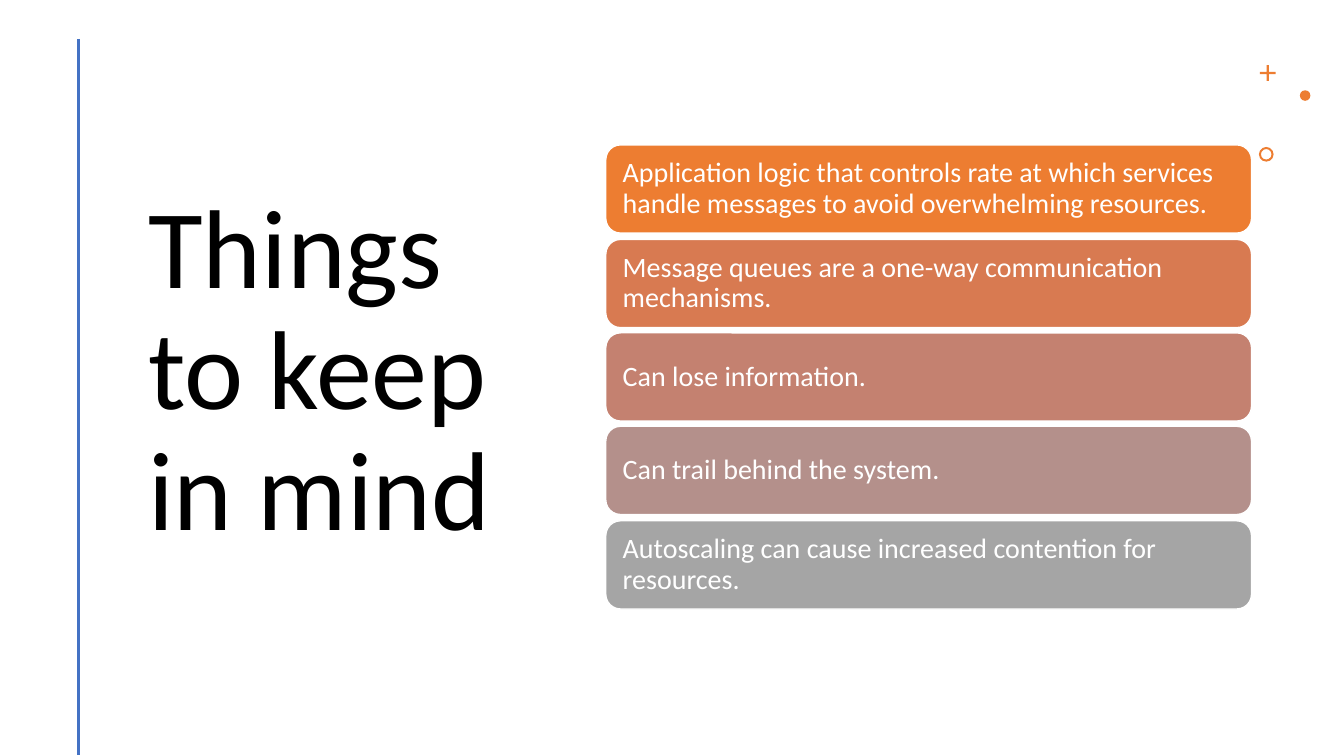
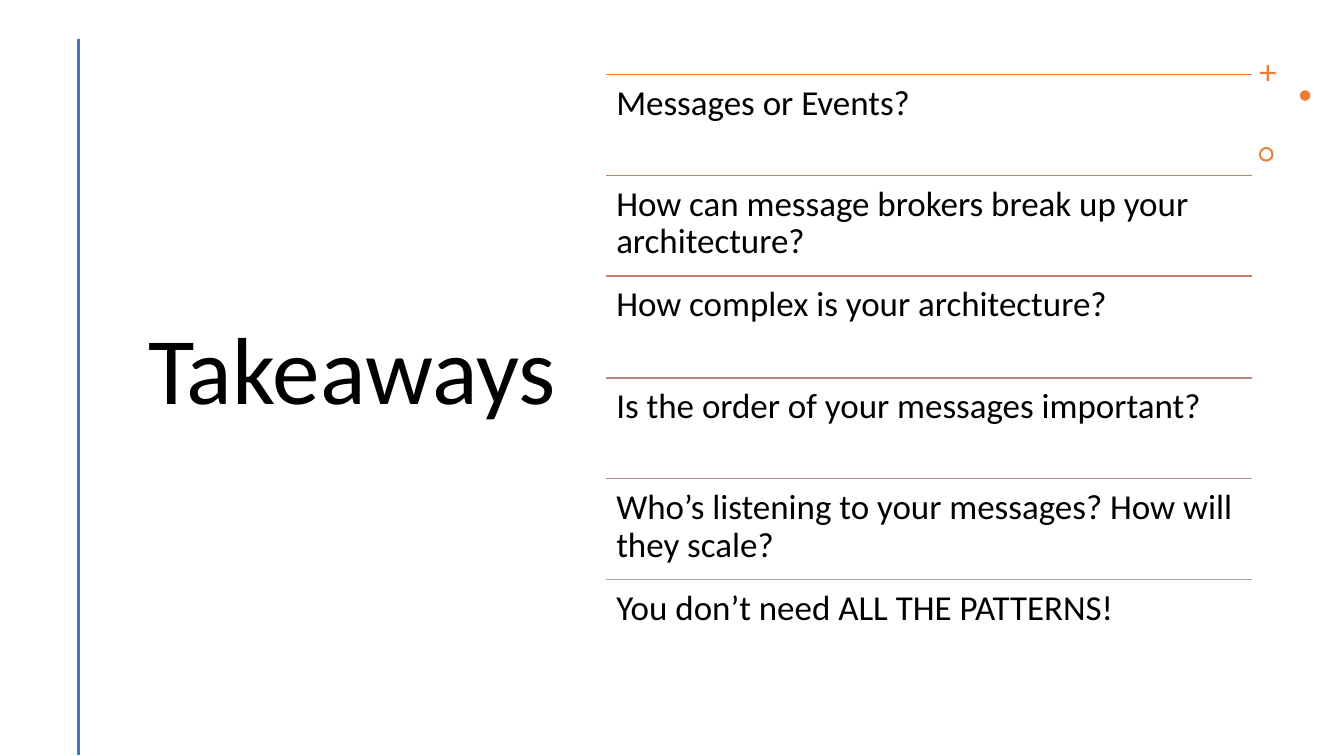
from dataclasses import dataclass

from pptx import Presentation
from pptx.dml.color import RGBColor
from pptx.enum.shapes import MSO_CONNECTOR, MSO_SHAPE
from pptx.enum.text import MSO_ANCHOR, PP_ALIGN
from pptx.oxml.xmlchemy import OxmlElement
from pptx.shapes.base import BaseShape
from pptx.slide import Slide
from pptx.util import Pt

SCALE = 9525  # EMU per px, 96 px to the inch
WIDTH, HEIGHT = 1280, 720
FONT = "Calibri"
LEFT, SPAN = 577, 615  # the right-hand column

COLORS = {
    "white": "FFFFFF",
    "black": "000000",
    "blue": "4472C4",
    "orange": "ED7D31",
    "amber": "DC7A4B",
    "copper": "D87A51",
    "clay": "CC7D64",
    "rose": "C48170",
    "dusk": "BD867B",
    "mauve": "B4908B",
    "stone": "B09391",
    "gray": "A5A5A5",
}


@dataclass(frozen=True)
class Box:
    left: int
    top: int
    width: int
    height: int

    def emu(self) -> tuple[int, ...]:
        return tuple(px(n) for n in (self.left, self.top, self.width, self.height))


@dataclass(frozen=True)
class Style:
    size: int
    color: str
    inset: int
    anchor: MSO_ANCHOR


@dataclass(frozen=True)
class Mark:
    kind: MSO_SHAPE
    box: Box
    adjust: float | None = None


@dataclass(frozen=True)
class Row:
    text: str
    color: str


BAR = Style(20, "white", 12, MSO_ANCHOR.MIDDLE)
ITEM = Style(25, "black", 10, MSO_ANCHOR.TOP)
TITLE = Box(131, 62, 414, 587)

MARKS = [
    Mark(MSO_SHAPE.CROSS, Box(1200, 62, 15, 15), 0.43),
    Mark(MSO_SHAPE.OVAL, Box(1238, 86, 10, 10)),
    Mark(MSO_SHAPE.DONUT, Box(1199, 140, 14, 14), 0.14),
]

TIPS = [
    Row("Application logic that controls rate at which services handle "
        "messages to avoid overwhelming resources.", "orange"),
    Row("Message queues are a one-way communication mechanisms.", "copper"),
    Row("Can lose information.", "rose"),
    Row("Can trail behind the system.", "mauve"),
    Row("Autoscaling can cause increased contention for resources.", "gray"),
]

POINTS = [
    Row("Messages or Events?", "orange"),
    Row("How can message brokers break up your architecture?", "amber"),
    Row("How complex is your architecture?", "clay"),
    Row("Is the order of your messages important?", "dusk"),
    Row("Who’s listening to your messages? How will they scale?", "stone"),
    Row("You don’t need ALL THE PATTERNS!", "gray"),
]


def px(count: int) -> int:
    return count * SCALE


def rgb(name: str) -> RGBColor:
    return RGBColor.from_string(COLORS[name])


def assign(target: object, values: dict) -> None:
    for name, value in values.items():
        setattr(target, name, value)


def spread(first: int, last: int, count: int) -> list[int]:
    """Return evenly spaced tops from first to last."""
    return [first + round((last - first) * i / (count - 1)) for i in range(count)]


def write(shape: BaseShape, text: str, style: Style) -> None:
    frame = shape.text_frame
    sides = ("left", "top", "right", "bottom")
    assign(frame, {f"margin_{side}": px(style.inset) for side in sides})
    assign(frame, {"word_wrap": True, "vertical_anchor": style.anchor})
    para = frame.paragraphs[0]
    assign(para, {"alignment": PP_ALIGN.LEFT, "line_spacing": 0.9})
    run = para.add_run()
    run.text = text
    assign(run.font, {"name": FONT, "size": Pt(style.size)})
    run.font.color.rgb = rgb(style.color)


def add_text(slide: Slide, box: Box, text: str, style: Style) -> None:
    write(slide.shapes.add_textbox(*box.emu()), text, style)


def add_solid(slide: Slide, kind: MSO_SHAPE, box: Box, color: str) -> BaseShape:
    """Add a filled shape without shadow or outline."""
    shape = slide.shapes.add_shape(kind, *box.emu())
    shape.shadow.inherit = False
    shape.fill.solid()
    shape.fill.fore_color.rgb = rgb(color)
    shape.line.fill.background()
    return shape


def add_line(slide: Slide, box: Box, color: str, weight: int) -> None:
    left, top, width, height = box.emu()
    line = slide.shapes.add_connector(
        MSO_CONNECTOR.STRAIGHT, left, top, left + width, top + height)
    line.line.width = Pt(weight)
    line.line.color.rgb = rgb(color)
    line._element.spPr.append(OxmlElement("a:effectLst"))


def add_mark(slide: Slide, mark: Mark) -> None:
    shape = add_solid(slide, mark.kind, mark.box, "orange")
    if mark.adjust is not None:
        shape.adjustments[0] = mark.adjust


def add_page(deck: Presentation, title: str, size: int) -> Slide:
    """Add a slide with its title, side rule and corner marks."""
    slide = deck.slides.add_slide(deck.slide_layouts[6])
    add_text(slide, TITLE, title, Style(size, "black", 10, MSO_ANCHOR.MIDDLE))
    add_line(slide, Box(75, 37, 0, 682), "blue", 2)
    for mark in MARKS:
        add_mark(slide, mark)
    return slide


def add_bars(slide: Slide, rows: list[Row]) -> None:
    for row, top in zip(rows, spread(138, 496, len(rows))):
        box = Box(LEFT, top, SPAN, 84)
        bar = add_solid(slide, MSO_SHAPE.ROUNDED_RECTANGLE, box, row.color)
        bar.line.color.rgb = rgb("white")
        bar.line.width = Pt(1)
        write(bar, row.text, BAR)


def add_items(slide: Slide, rows: list[Row]) -> None:
    """Add a list with a thin rule above each entry."""
    for row, top in zip(rows, spread(71, 552, len(rows))):
        add_line(slide, Box(LEFT, top, SPAN, 0), row.color, 1)
        add_text(slide, Box(LEFT, top, SPAN, 96), row.text, ITEM)


def main() -> None:
    deck = Presentation()
    assign(deck, {"slide_width": px(WIDTH), "slide_height": px(HEIGHT)})
    add_bars(add_page(deck, "Things to keep in mind", 80), TIPS)
    add_items(add_page(deck, "Takeaways", 68), POINTS)
    deck.save("out.pptx")


if __name__ == "__main__":
    main()
